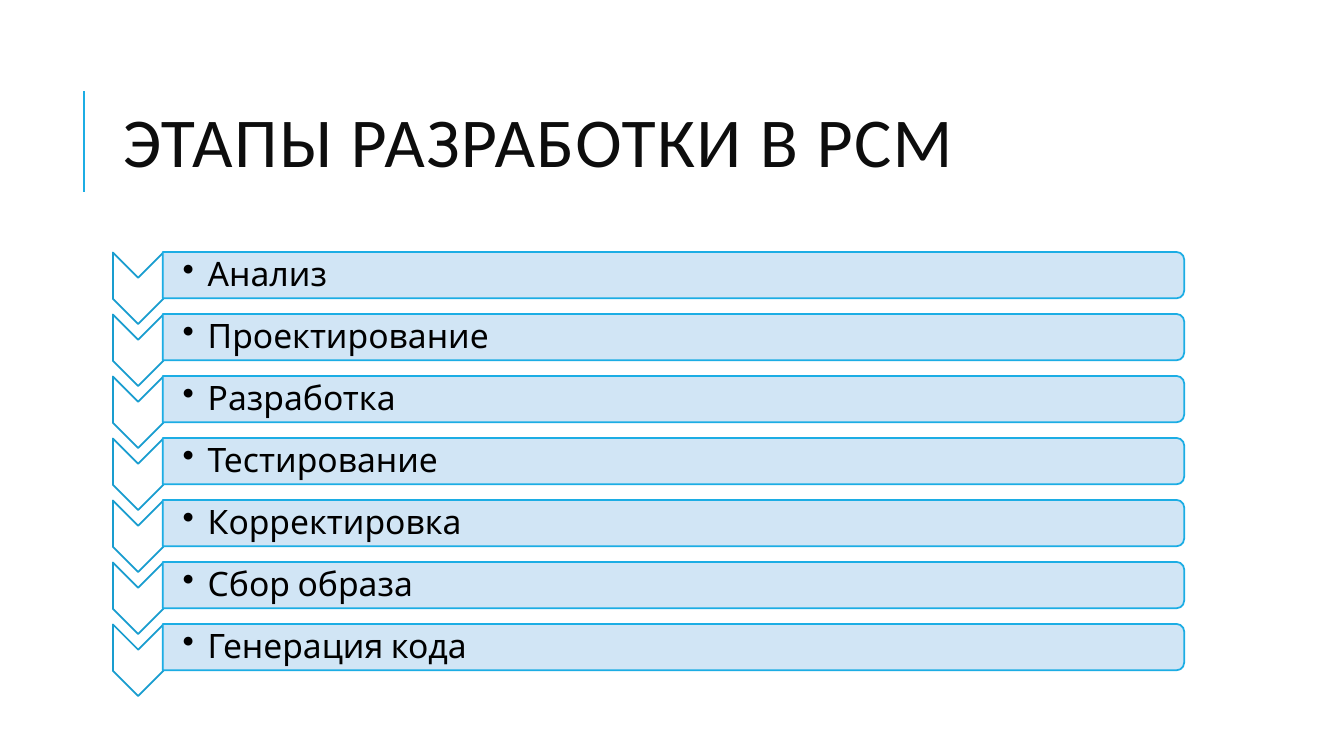
from dataclasses import dataclass

from lxml import etree
from pptx import Presentation
from pptx import util as u
from pptx.dml.color import RGBColor
from pptx.enum import shapes, text
from pptx.oxml.ns import qn
from pptx.shapes.autoshape import Shape
from pptx.slide import Slide

COLORS = {
    "accent": "1CADE4",
    "chevron_line": "199DCF",
    "chevron_fill": "FFFFFF",
    "bar_fill": "CDE3F5",
    "title": "0D0D0D",
    "stage": "000000",
}
STAGES = [
    "Анализ",
    "Проектирование",
    "Разработка",
    "Тестирование",
    "Корректировка",
    "Сбор образа",
    "Генерация кода",
]
FIRST_CENTER, LAST_CENTER = 2.73, 6.42
PITCH = (LAST_CENTER - FIRST_CENTER) / (len(STAGES) - 1)


@dataclass(frozen=True)
class Box:
    left: float
    top: float
    width: float
    height: float


@dataclass(frozen=True)
class Marker:
    """A preset shape turned by 90 degrees; length and thickness are unrotated."""
    preset: shapes.MSO_SHAPE
    center_x: float
    drop: float
    length: float
    thickness: float
    fill: str
    line: str
    opacity: int = 100


CHEVRON = Marker(shapes.MSO_SHAPE.CHEVRON, 1.37, 0.13, 0.71, 0.5,
                 "chevron_fill", "chevron_line")
BAR = Marker(shapes.MSO_SHAPE.ROUND_2_SAME_RECTANGLE, 6.68, 0, 0.46, 10.13,
             "bar_fill", "accent", 90)


def color(name: str) -> RGBColor:
    return RGBColor.from_string(COLORS[name])


def add_marker(slide: Slide, marker: Marker, center_y: float) -> None:
    shape = slide.shapes.add_shape(
        marker.preset,
        u.Inches(marker.center_x - marker.length / 2),
        u.Inches(center_y + marker.drop - marker.thickness / 2),
        u.Inches(marker.length),
        u.Inches(marker.thickness),
    )
    shape.rotation = 90
    shape.shadow.inherit = False
    shape.fill.solid()
    shape.fill.fore_color.rgb = color(marker.fill)
    shape.line.color.rgb = color(marker.line)
    shape.line.width = u.Pt(1.25)
    if marker.opacity < 100:
        fill_color = shape.element.spPr.find(qn("a:solidFill"))[0]
        etree.SubElement(fill_color, qn("a:alpha"), val=str(marker.opacity * 1000))


def add_label(slide: Slide, box: Box, words: str, font: str, size: float,
              tint: str, line_spacing: float) -> Shape:
    label = slide.shapes.add_textbox(*map(
        u.Inches, (box.left, box.top, box.width, box.height)))
    frame = label.text_frame
    frame.text = words
    frame.word_wrap = True
    frame.vertical_anchor = text.MSO_ANCHOR.MIDDLE
    paragraph = frame.paragraphs[0]
    paragraph.line_spacing = line_spacing
    run_font = paragraph.runs[0].font
    run_font.name = font
    run_font.size = u.Pt(size)
    run_font.color.rgb = color(tint)
    return label


def add_title(slide: Slide) -> None:
    rule = slide.shapes.add_connector(
        shapes.MSO_CONNECTOR.STRAIGHT,
        u.Inches(0.83), u.Inches(1.9), u.Inches(0.83), u.Inches(0.9))
    rule.line.color.rgb = color("accent")
    rule.line.width = u.Pt(1.5)
    etree.SubElement(rule.element.spPr, qn("a:effectLst"))

    title = add_label(slide, Box(1.12, 0.64, 10.63, 1.64),
                      "ЭТАПЫ РАЗРАБОТКИ В PCM", "Calibri", 50, "title", 0.8)
    run = title.text_frame.paragraphs[0].runs[0]
    run.font.element.set("spc", "100") if hasattr(run.font, "element") else \
        run._r.get_or_add_rPr().set("spc", "100")


def add_stage(slide: Slide, name: str, center_y: float) -> None:
    add_marker(slide, CHEVRON, center_y)
    add_marker(slide, BAR, center_y)
    label = add_label(slide, Box(1.62, center_y - 0.21, 10.11, 0.42),
                      name, "Cabin", 24, "stage", 0.9)
    frame = label.text_frame
    frame.margin_left = u.Inches(0.19)
    frame.margin_top = frame.margin_right = frame.margin_bottom = u.Inches(0.02)
    properties = frame.paragraphs[0]._p.get_or_add_pPr()
    properties.set("marL", str(u.Inches(0.25)))
    properties.set("indent", str(u.Inches(-0.25)))
    etree.SubElement(properties, qn("a:buChar"), char="•")


def main() -> None:
    deck = Presentation()
    deck.slide_width, deck.slide_height = u.Inches(13.33), u.Inches(7.5)
    slide = deck.slides.add_slide(deck.slide_layouts[6])
    add_title(slide)
    for index, name in enumerate(STAGES):
        add_stage(slide, name, FIRST_CENTER + index * PITCH)
    deck.save("out.pptx")


if __name__ == "__main__":
    main()
